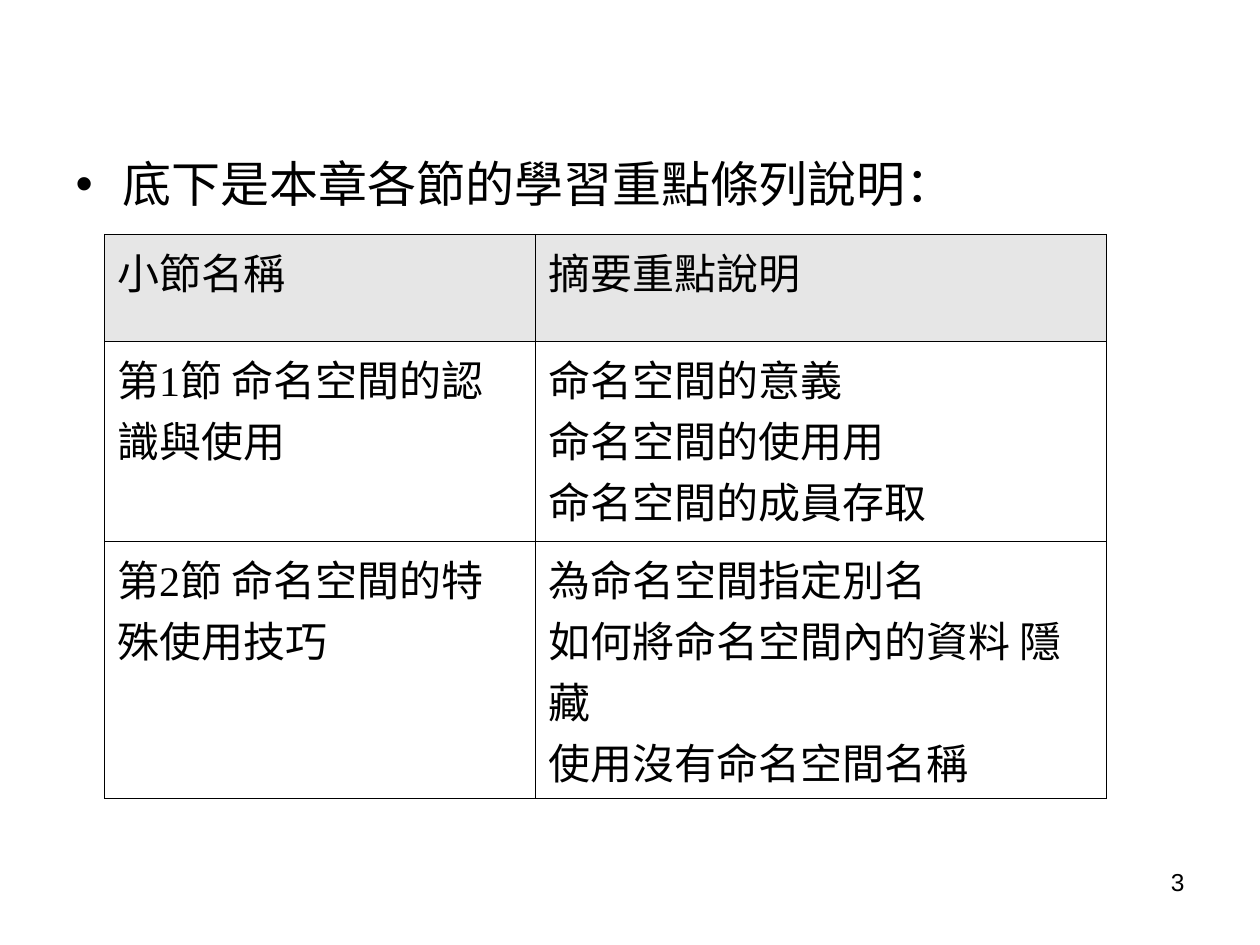
from dataclasses import dataclass

from lxml.etree import SubElement
from pptx import Presentation
from pptx.dml.color import RGBColor
from pptx.enum.text import MSO_ANCHOR, MSO_AUTO_SIZE, PP_ALIGN
from pptx.oxml.ns import qn
from pptx.util import Inches, Pt


@dataclass(frozen=True)
class Theme:
    ink: str = "000000"
    header_fill: str = "E6E6E6"
    body_font: str = "Arial"
    table_font: str = "Times New Roman"
    body_size: int = 28
    table_size: int = 24
    number_size: int = 14
    border_width: float = 0.45


THEME = Theme()
COLUMN_WIDTHS = (3.42, 4.53)
ROW_HEIGHTS = (0.85, 1.59, 1.98)
SECTIONS = (
    (("小節名稱",), ("摘要重點說明",)),
    (
        ("第1節 命名空間的認識與使用",),
        ("命名空間的意義", "命名空間的使用用", "命名空間的成員存取"),
    ),
    (
        ("第2節 命名空間的特殊使用技巧",),
        ("為命名空間指定別名", "如何將命名空間內的資料 隱藏", "使用沒有命名空間名稱"),
    ),
)


def apply_format(target, values):
    for name, value in values.items():
        setattr(target, name, value)


def write_lines(text_frame, lines, font_name, size, paragraph_format):
    for index, line in enumerate(lines):
        paragraph = text_frame.paragraphs[0] if index == 0 else text_frame.add_paragraph()
        apply_format(paragraph, paragraph_format)
        run = paragraph.add_run()
        run.text = line
        apply_format(run.font, {"name": font_name, "size": Pt(size), "bold": False})
        run.font.color.rgb = RGBColor.from_string(THEME.ink)


def place(shape, left, top, width, height):
    apply_format(shape, {
        "left": Inches(left), "top": Inches(top),
        "width": Inches(width), "height": Inches(height),
    })


def add_intro(slide):
    body = slide.placeholders[1]
    place(body, 0.5, 1.17, 8.67, 5.5)
    apply_format(body.text_frame, {
        "auto_size": MSO_AUTO_SIZE.NONE,
        "vertical_anchor": MSO_ANCHOR.TOP,
        "word_wrap": True,
    })
    write_lines(body.text_frame, ("底下是本章各節的學習重點條列說明：",),
                THEME.body_font, THEME.body_size, {"space_before": Pt(7)})


def add_borders(cell):
    properties = cell._tc.get_or_add_tcPr()
    for side in ("a:lnL", "a:lnR", "a:lnT", "a:lnB"):
        line = SubElement(properties, qn(side), w=str(Pt(THEME.border_width)))
        fill = SubElement(line, qn("a:solidFill"))
        SubElement(fill, qn("a:srgbClr"), val=THEME.ink)


def fill_cell(cell, lines, is_header):
    write_lines(cell.text_frame, lines, THEME.table_font, THEME.table_size, {})
    add_borders(cell)
    if is_header:
        cell.fill.solid()
        cell.fill.fore_color.rgb = RGBColor.from_string(THEME.header_fill)
    else:
        cell.fill.background()


def add_section_table(slide):
    frame = slide.shapes.add_table(
        len(ROW_HEIGHTS), len(COLUMN_WIDTHS), Inches(0.83), Inches(1.86),
        Inches(sum(COLUMN_WIDTHS)), Inches(sum(ROW_HEIGHTS)))
    table = frame.table
    apply_format(table, {"first_row": False, "horz_banding": False})
    for column, width in zip(table.columns, COLUMN_WIDTHS):
        column.width = Inches(width)
    for row_index, (row, height) in enumerate(zip(table.rows, ROW_HEIGHTS)):
        row.height = Inches(height)
        for cell, lines in zip(row.cells, SECTIONS[row_index]):
            fill_cell(cell, lines, row_index == 0)


def add_page_number(slide):
    box = slide.shapes.add_textbox(Inches(7.17), Inches(6.83), Inches(2.33), Inches(0.52))
    box.text_frame.word_wrap = True
    write_lines(box.text_frame, ("3",), THEME.body_font, THEME.number_size,
                {"alignment": PP_ALIGN.RIGHT})


def main():
    presentation = Presentation()
    apply_format(presentation, {"slide_width": Inches(10), "slide_height": Inches(7.5)})
    slide = presentation.slides.add_slide(presentation.slide_layouts[1])
    title = slide.shapes.title.element
    title.getparent().remove(title)
    add_intro(slide)
    add_section_table(slide)
    add_page_number(slide)
    presentation.save("out.pptx")


main()
